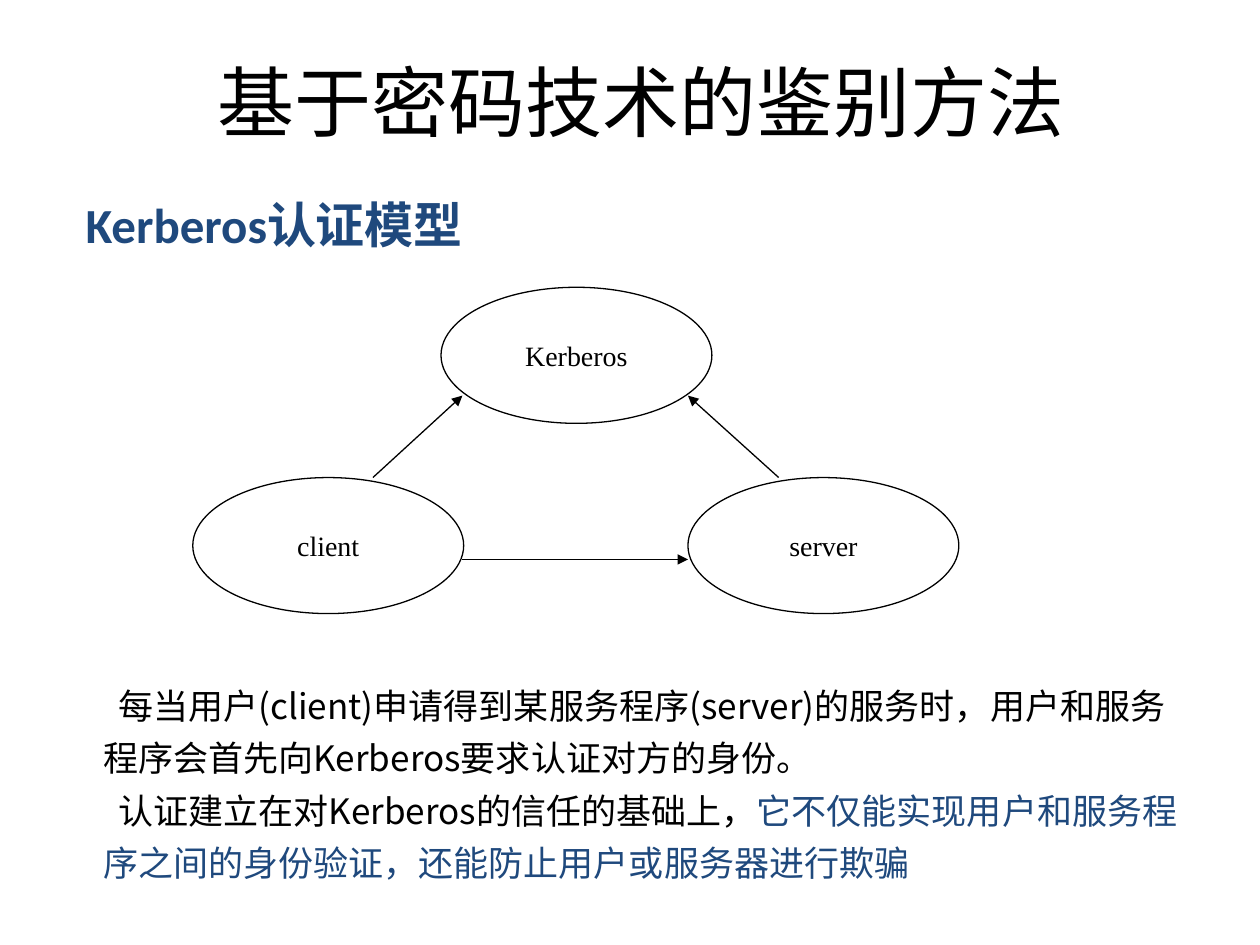
from lxml import etree
from pptx import Presentation
from pptx.dml.color import RGBColor
from pptx.enum.shapes import MSO_CONNECTOR, MSO_SHAPE
from pptx.enum.text import MSO_ANCHOR, MSO_AUTO_SIZE, PP_ALIGN
from pptx.oxml.ns import qn
from pptx.util import Inches, Pt

BLACK = RGBColor(0x00, 0x00, 0x00)
NAVY = RGBColor(0x1F, 0x49, 0x7D)
CJK, SANS, SERIF = "Noto Sans CJK SC", "Calibri", "Times New Roman"
CENTER, LEFT = PP_ALIGN.CENTER, PP_ALIGN.LEFT
MIDDLE, TOP = MSO_ANCHOR.MIDDLE, MSO_ANCHOR.TOP
NO_FIT = MSO_AUTO_SIZE.NONE
ELLIPSE, STRAIGHT = MSO_SHAPE.OVAL, MSO_CONNECTOR.STRAIGHT

NODE_W, NODE_H = 2.15, 1.08


class SlideBuilder:
    def __init__(self, slide):
        self.s = slide

    def place(self, sp, left, top, width, height):
        sp.left, sp.top = Inches(left), Inches(top)
        sp.width, sp.height = Inches(width), Inches(height)

    def frame(self, sp, anchor):
        tf = sp.text_frame
        tf.word_wrap = True
        tf.auto_size = NO_FIT
        tf.vertical_anchor = anchor
        return tf

    def indent(self, p, margin, first):
        """Set the left margin and first-line indent, without a bullet."""
        pPr = p._p.get_or_add_pPr()
        pPr.set("marL", str(Inches(margin)))
        pPr.set("indent", str(Inches(first)))
        etree.SubElement(pPr, qn("a:buNone"))

    def run(self, p, text, size, font, color=BLACK, bold=False):
        r = p.add_run()
        r.text = text
        r.font.size, r.font.name, r.font.bold = Pt(size), font, bold
        r.font.color.rgb = color
        ea = etree.Element(qn("a:ea"), typeface=CJK)
        r.font._rPr.find(qn("a:latin")).addnext(ea)

    def title(self, text, *box):
        sp = self.s.shapes.title
        self.place(sp, *box)
        p = self.frame(sp, MIDDLE).paragraphs[0]
        p.alignment = CENTER
        self.run(p, text, 44, SANS)

    def heading(self, text, *box):
        sp = self.s.placeholders[1]
        self.place(sp, *box)
        p = self.frame(sp, TOP).paragraphs[0]
        p.space_before = Pt(0)
        self.indent(p, 0.38, -0.29)
        self.run(p, text, 28, SANS, NAVY, True)

    def node(self, text, left, top):
        sp = self.s.shapes.add_shape(ELLIPSE, Inches(left), Inches(top),
                                     Inches(NODE_W), Inches(NODE_H))
        sp.shadow.inherit = False
        sp.fill.background()
        sp.line.color.rgb = BLACK
        sp.line.width = Pt(0.75)
        p = self.frame(sp, MIDDLE).paragraphs[0]
        p.alignment = CENTER
        self.run(p, text, 16, SERIF)

    def arrow(self, x1, y1, x2, y2):
        c = self.s.shapes.add_connector(STRAIGHT, Inches(x1), Inches(y1),
                                        Inches(x2), Inches(y2))
        c.line.color.rgb = BLACK
        c.line.width = Pt(0.75)
        etree.SubElement(c.line._get_or_add_ln(), qn("a:tailEnd"), type="triangle")
        etree.SubElement(c._element.spPr, qn("a:effectLst"))

    def body(self, paragraphs, *box):
        sp = self.s.shapes.add_textbox(*map(Inches, box))
        tf = self.frame(sp, TOP)
        for i, runs in enumerate(paragraphs):
            p = tf.add_paragraph() if i else tf.paragraphs[0]
            p.alignment = LEFT
            p.line_spacing = 1.25
            self.indent(p, 0, 0.12)
            for text, color in runs:
                self.run(p, text, 20, CJK, color)


def main():
    prs = Presentation()
    prs.slide_width, prs.slide_height = Inches(10), Inches(7.5)
    b = SlideBuilder(prs.slides.add_slide(prs.slide_layouts[1]))

    b.title("基于密码技术的鉴别方法", 0.83, 0.23, 8.52, 1.14)
    b.heading("Kerberos认证模型", 0.49, 1.49, 8.5, 0.67)

    for text, left, top in (("Kerberos", 3.5, 2.28),
                            ("client", 1.53, 3.79),
                            ("server", 5.46, 3.79)):
        b.node(text, left, top)
    for ends in ((2.96, 3.79, 3.67, 3.14),
                 (6.18, 3.79, 5.46, 3.14),
                 (3.67, 4.44, 5.46, 4.44)):
        b.arrow(*ends)

    b.body([
        [("每当用户(client)申请得到某服务程序(server)的服务时，"
          "用户和服务程序会首先向Kerberos要求认证对方的身份。", BLACK)],
        [("认证建立在对Kerberos的信任的基础上，", BLACK),
         ("它不仅能实现用户和服务程序之间的身份验证，"
          "还能防止用户或服务器进行欺骗", NAVY)],
    ], 0.72, 5.3, 8.75, 1.73)

    prs.save("out.pptx")


if __name__ == "__main__":
    main()
